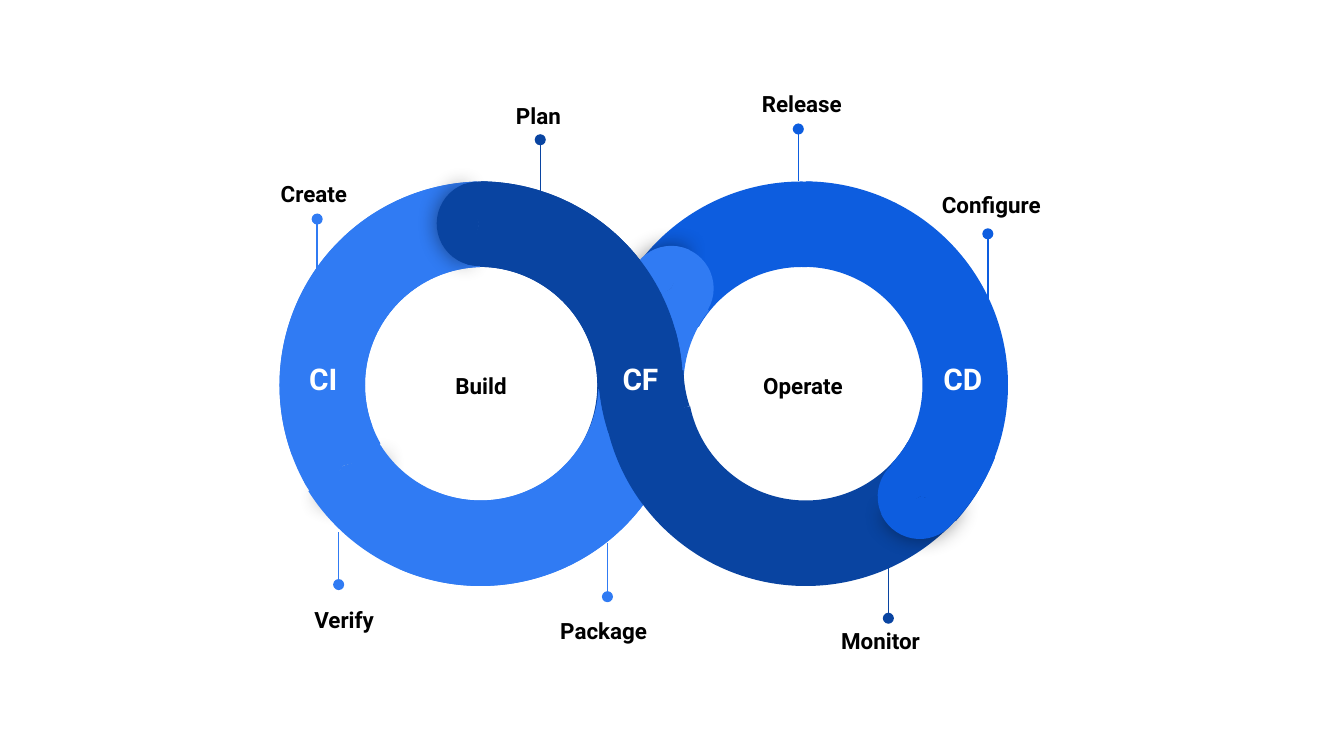
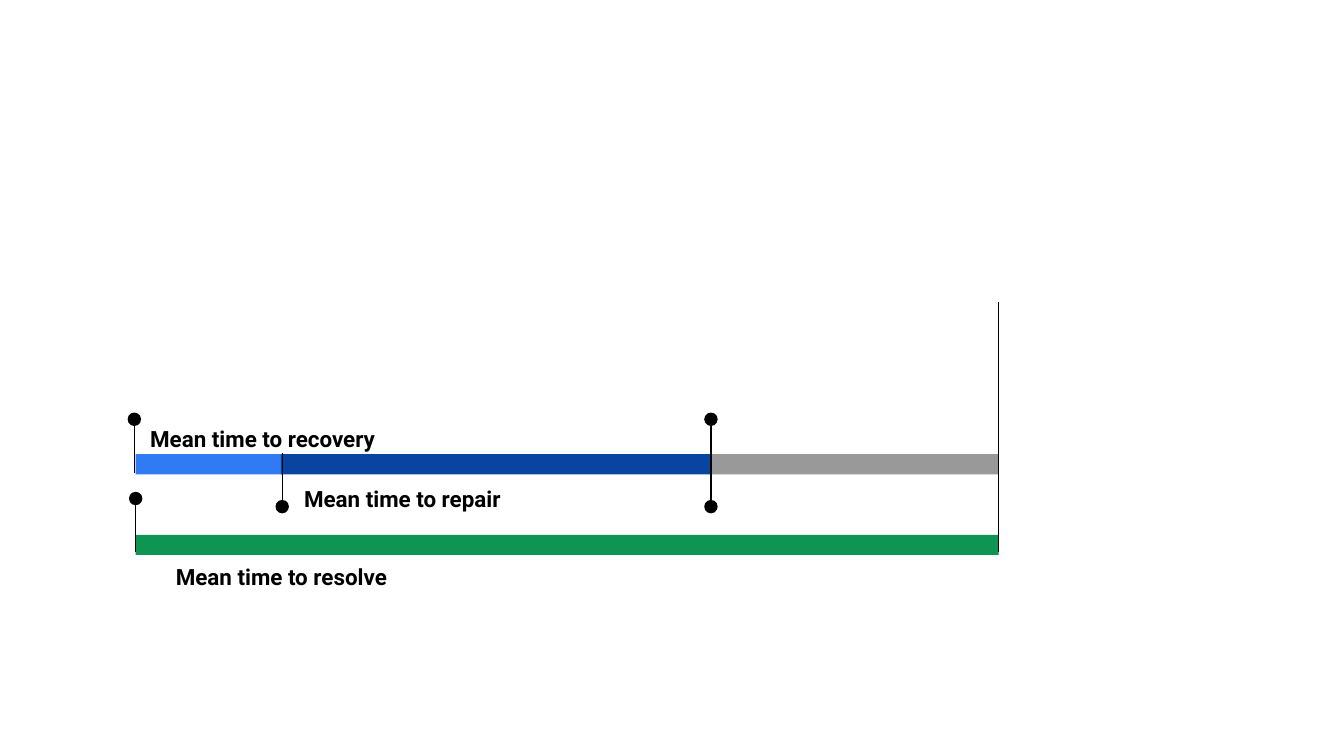
from collections import namedtuple

from lxml.etree import SubElement
from pptx import Presentation
from pptx.dml.color import RGBColor
from pptx.enum.shapes import MSO_CONNECTOR, MSO_SHAPE
from pptx.enum.text import MSO_ANCHOR as Anchor, PP_ALIGN as Align
from pptx.oxml.ns import qn
from pptx.util import Inches, Pt

COLORS = {
    "black": "000000",
    "white": "FFFFFF",
    "light": "307BF3",
    "mid": "0D5DDF",
    "dark": "0944A1",
    "grey": "999999",
    "green": "0E9453",
}
FONT = "Roboto"
RING_SIZE = 3.03
CAP_SIZE = 0.63
BAR_HEIGHT = 0.15
BALL_SIZE = 0.1
PIN_REACH = 0.4

Box = namedtuple("Box", "left top width height")

# Each layer holds arcs (left, top, turn, color, start, end, thickness), then
# rounded caps (left, top, turn of the shaded half, turn of the plain half, color).
# Starts and ends are adjustment values.
LOOP_LAYERS = [
    (
        [
            (2.45, 0.35, 300, "mid", 161.69, 199.63, 0.21),
            (2.48, 0.35, 332.3, "light", 127.4, 147.19, 0.2),
            (0.05, 0.35, 60, "dark", 126.23, 197.82, 0.21),
            (0.08, 0.35, 300, "light", 126.23, 197.03, 0.21),
        ],
        [
            (0.24, 2.15, 240.6, 60, "light"),
            (2.68, 0.83, 45.6, 225, "light"),
        ],
    ),
    (
        [
            (0.06, 0.33, 180, "light", 126.23, 196.63, 0.21),
            (0.08, 0.35, 300, "light", 131.76, 197.03, 0.21),
        ],
        [(1.25, 0.35, 0.7, 180, "dark")],
    ),
    (
        [
            (2.47, 0.35, 60, "mid", 126.23, 205.18, 0.21),
            (0.05, 0.35, 60, "dark", 126.23, 182.29, 0.21),
            (0.06, 0.33, 145.7, "light", 130.54, 196.63, 0.21),
            (2.48, 0.33, 180, "dark", 126.23, 209.02, 0.21),
            (2.45, 0.23, 210.9, "dark", 186.48, 197.03, 0.21),
        ],
        [(4.53, 2.38, 265.7, 85.1, "mid")],
    ),
    ([(2.48, 0.33, 164.2, "mid", 130.47, 143.8, 0.21)], []),
]

# Stage name, label left, top and width, then pin x, start y, end y and color
STAGES = [
    ("Plan", 1.74, -0.31, 0.59, 2.02, 0.44, 0.04, "dark"),
    ("Create", -0.01, 0.27, 0.81, 0.36, 1.02, 0.63, "light"),
    ("Verify", 0.24, 3.44, 0.81, 0.52, 2.96, 3.35, "light"),
    ("Package", 2.07, 3.52, 0.98, 2.52, 3.04, 3.44, "light"),
    ("Monitor", 4.16, 3.6, 0.91, 4.61, 3.21, 3.6, "dark"),
    ("Release", 3.57, -0.4, 0.91, 3.94, 0.35, -0.04, "mid"),
    ("Configure", 4.91, 0.35, 1.07, 5.35, 1.32, 0.74, "mid"),
]
CENTERS = [("Build", 1.29, 0.78), ("Operate", 3.58, 0.81)]
BADGES = [("CI", 0.14, 0.53), ("CF", 2.47, 0.59), ("CD", 4.81, 0.71)]

# Left, top, width, color
BARS = [
    (4.29, 1.13, 2.14, "grey"),
    (0.01, 1.13, 1.09, "light"),
    (1.09, 1.13, 3.2, "dark"),
    (0.01, 1.73, 6.42, "green"),
]
# x, y of the ball, direction of the stem (1 down, -1 up)
PINS = [
    (4.29, 0.87, 1),
    (0, 0.87, 1),
    (1.1, 1.52, -1),
    (0.01, 1.46, 1),
    (4.29, 1.52, -1),
]
MEASURES = [
    ("Mean time to recovery", -0.08, 0.78),
    ("Mean time to repair", 0.96, 1.23),
    ("Mean time to resolve", 0.06, 1.81),
]


def color(name):
    return RGBColor.from_string(COLORS[name])


def add_solid(page, kind, box, fill, turn=0, adjustments=()):
    shape = page.shapes.add_shape(kind, *(Inches(value) for value in box))
    shape.shadow.inherit = False
    shape.fill.solid()
    shape.fill.fore_color.rgb = color(fill)
    shape.line.fill.background()
    shape.rotation = turn
    for index, value in enumerate(adjustments):
        shape.adjustments[index] = value
    return shape


def add_glow(shape):
    """Give the shape a soft, centred shadow."""
    effects = shape._element.spPr.find(qn("a:effectLst"))
    shadow = SubElement(effects, qn("a:outerShdw"), blurRad=str(Pt(11.2)),
                        dist="0", dir="0", algn="bl", rotWithShape="0")
    tint = SubElement(shadow, qn("a:srgbClr"), val=COLORS["black"])
    SubElement(tint, qn("a:alpha"), val="43000")


def add_line(page, x, start, end, ink, oval=False):
    """Draw a vertical line, with a dot at its end if oval is set."""
    line = page.shapes.add_connector(
        MSO_CONNECTOR.STRAIGHT, Inches(x), Inches(start), Inches(x), Inches(end))
    line.line.color.rgb = color(ink)
    line.line.width = Pt(0.75)
    SubElement(line._element.spPr, qn("a:effectLst"))
    if oval:
        SubElement(line.line._get_or_add_ln(), qn("a:tailEnd"), type="oval")


def add_text(page, box, text, size=12, ink="black", align=Align.LEFT, anchor=Anchor.TOP):
    frame = page.shapes.add_textbox(*(Inches(value) for value in box)).text_frame
    frame.word_wrap = True
    frame.vertical_anchor = anchor
    frame.margin_left = frame.margin_right = Inches(0.1)
    frame.margin_top = frame.margin_bottom = Inches(0.1)
    para = frame.paragraphs[0]
    para.text = text
    para.alignment = align
    para.font.name = FONT
    para.font.size = Pt(size)
    para.font.bold = True
    para.font.color.rgb = color(ink)
    return para


def add_cap(page, left, top, shaded_turn, plain_turn, fill):
    """Round off a band with two pie halves, the first one casting a shadow."""
    box = Box(left, top, CAP_SIZE, CAP_SIZE)
    add_glow(add_solid(page, MSO_SHAPE.PIE, box, fill, shaded_turn, (61.9, 149.96)))
    add_solid(page, MSO_SHAPE.PIE, box, fill, plain_turn, (40.28, 171.84))


def add_loop(page, box):
    for arcs, caps in LOOP_LAYERS:
        for left, top, turn, fill, *shape_values in arcs:
            ring = Box(box.left + left, box.top + top, RING_SIZE, RING_SIZE)
            add_solid(page, MSO_SHAPE.BLOCK_ARC, ring, fill, turn, shape_values)
        for left, top, *style in caps:
            add_cap(page, box.left + left, box.top + top, *style)
    for text, left, width in BADGES:
        add_text(page, Box(box.left + left, box.top + 1.58, width, 0.48),
                 text, 16, "white", Align.CENTER)
    for text, left, width in CENTERS:
        add_text(page, Box(box.left + left, box.top + 1.7, width, 0.34),
                 text, anchor=Anchor.MIDDLE)


def add_stages(page, box):
    for text, left, top, width, x, start, end, ink in STAGES:
        add_line(page, box.left + x, box.top + start, box.top + end, ink, oval=True)
        add_text(page, Box(box.left + left, box.top + top, width, 0.34),
                 text, anchor=Anchor.MIDDLE)


def add_pin(page, x, y, direction):
    add_line(page, x, y, y + direction * PIN_REACH, "black")
    ball = Box(x - BALL_SIZE / 2, y - BALL_SIZE / 2, BALL_SIZE, BALL_SIZE)
    add_solid(page, MSO_SHAPE.OVAL, ball, "black")


def add_timeline(page, box):
    for left, top, width, fill in BARS:
        bar = Box(box.left + left, box.top + top, width, BAR_HEIGHT)
        add_solid(page, MSO_SHAPE.RECTANGLE, bar, fill)
    for x, y, direction in PINS:
        add_pin(page, box.left + x, box.top + y, direction)
    for text, left, top in MEASURES:
        para = add_text(page, Box(box.left + left, box.top + top, 2.07, 0.41),
                        text, align=Align.CENTER)
        para.line_spacing = 1.15
        para.space_after = Pt(16)
    add_line(page, box.left + box.width, box.top, box.top + box.height, "black")


def add_page(deck):
    page = deck.slides.add_slide(deck.slide_layouts[6])
    page.background.fill.solid()
    page.background.fill.fore_color.rgb = color("white")
    return page


def main():
    deck = Presentation()
    deck.slide_width = Inches(10)
    deck.slide_height = deck.slide_width * 9 // 16

    loop_page = add_page(deck)
    loop_box = Box(2, 1, 5.5, 3.4)
    add_loop(loop_page, loop_box)
    add_stages(loop_page, loop_box)

    add_timeline(add_page(deck), Box(1, 2.25, 6.43, 1.86))
    deck.save("out.pptx")


if __name__ == "__main__":
    main()
